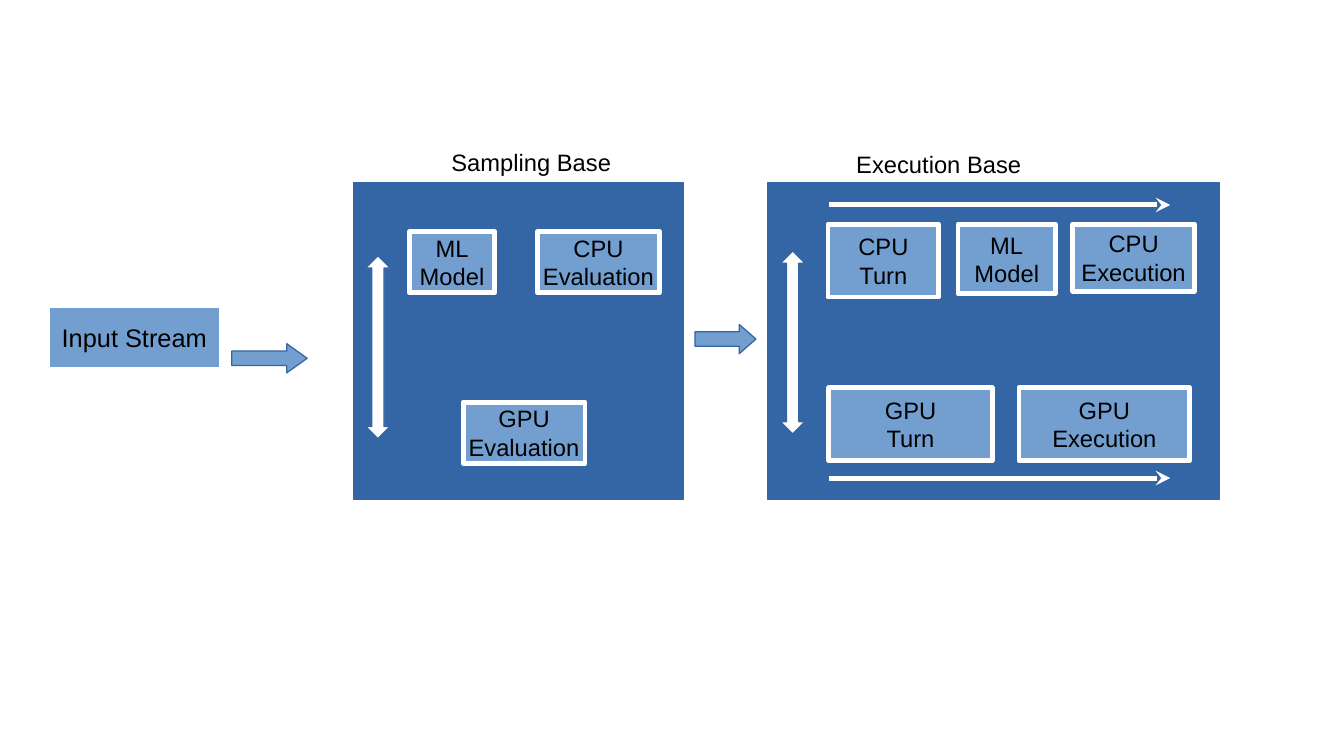
import dataclasses

import pptx
import pptx.dml.color
import pptx.enum.shapes
import pptx.enum.text
import pptx.oxml
import pptx.oxml.ns
import pptx.shapes.autoshape
import pptx.shapes.shapetree
import pptx.text.text
import pptx.util

Cm = pptx.util.Cm
Kind = pptx.enum.shapes.MSO_SHAPE
Tree = pptx.shapes.shapetree.SlideShapes


@dataclasses.dataclass(frozen=True)
class Theme:
    font: str = "Arial"
    dark: str = "3465A4"
    light: str = "729FCF"
    white: str = "FFFFFF"
    ink: str = "000000"
    body: float = 14
    large: float = 15
    thick: float = 2.89


@dataclasses.dataclass(frozen=True)
class Rect:
    left: float
    top: float
    width: float
    height: float

    def place(self) -> tuple[int, int, int, int]:
        return Cm(self.left), Cm(self.top), Cm(self.width), Cm(self.height)


@dataclasses.dataclass(frozen=True)
class Box:
    text: str
    area: Rect


@dataclasses.dataclass(frozen=True)
class Arrow:
    kind: Kind
    area: Rect
    fill: str
    shaft: float
    head: float


THEME = Theme()

PANELS = [Rect(7.37, 3.81, 6.86, 6.6), Rect(16, 3.81, 9.4, 6.6)]
INPUT = Box("Input Stream", Rect(1.02, 6.4, 3.56, 1.27))
LABELS = [
    Box("Sampling Base", Rect(8.53, 2.95, 5.08, 0.81)),
    Box("Execution Base", Rect(17.02, 3, 5.08, 0.81)),
]
STEPS = [
    Box("ML\nModel", Rect(8.53, 4.83, 1.78, 1.27)),
    Box("CPU\nEvaluation", Rect(11.2, 4.83, 2.54, 1.27)),
    Box("GPU\nEvaluation", Rect(9.65, 8.38, 2.54, 1.27)),
    Box("CPU\nTurn", Rect(17.25, 4.67, 2.31, 1.52)),
    Box("ML\nModel", Rect(19.96, 4.67, 2.03, 1.45)),
    Box("CPU\nExecution", Rect(22.35, 4.67, 2.54, 1.4)),
    Box("GPU\nTurn", Rect(17.27, 8.08, 3.4, 1.52)),
    Box("GPU\nExecution", Rect(21.23, 8.08, 3.56, 1.52)),
]
ARROWS = [
    Arrow(Kind.RIGHT_ARROW, Rect(4.83, 7.16, 1.57, 0.61), THEME.light, 0.49, 0.7),
    Arrow(Kind.RIGHT_ARROW, Rect(14.48, 6.76, 1.27, 0.61), THEME.light, 0.49, 0.57),
    Arrow(Kind.UP_DOWN_ARROW, Rect(7.62, 5.33, 0.51, 3.81), THEME.white, 0.5, 1.49),
    Arrow(Kind.UP_DOWN_ARROW, Rect(16.26, 5.23, 0.51, 3.81), THEME.white, 0.5, 1.49),
]
FLOW_LEFT, FLOW_RIGHT = 17.27, 24.38
FLOW_TOPS = [4.27, 9.96]


def paint(code: str) -> pptx.dml.color.RGBColor:
    return pptx.dml.color.RGBColor.from_string(code)


def add_block(tree: Tree, kind: Kind, area: Rect, fill: str, edge: str,
              width: float = 0) -> pptx.shapes.autoshape.Shape:
    shape = tree.add_shape(kind, *area.place())
    shape.shadow.inherit = False
    shape.fill.solid()
    shape.fill.fore_color.rgb = paint(fill)
    shape.line.color.rgb = paint(edge)
    shape.line.width = pptx.util.Pt(width)
    return shape


def write(frame: pptx.text.text.TextFrame, text: str, size: float, wrap: bool,
          side: float = 0.25, edge: float = 0.13) -> None:
    frame.word_wrap = wrap
    frame.margin_left = frame.margin_right = Cm(side)
    frame.margin_top = frame.margin_bottom = Cm(edge)
    frame.text = text
    for line in frame.paragraphs:
        line.alignment = pptx.enum.text.PP_ALIGN.CENTER
        line.font.name = THEME.font
        line.font.size = pptx.util.Pt(size)
        line.font.color.rgb = paint(THEME.ink)


def add_input(tree: Tree, box: Box) -> None:
    shape = add_block(tree, Kind.RECTANGLE, box.area, THEME.light, THEME.white)
    shape.text_frame.vertical_anchor = pptx.enum.text.MSO_ANCHOR.MIDDLE
    write(shape.text_frame, box.text, THEME.large, False)


def add_step(tree: Tree, box: Box) -> None:
    shape = add_block(tree, Kind.RECTANGLE, box.area, THEME.light, THEME.white,
                      THEME.thick)
    shape.text_frame.vertical_anchor = pptx.enum.text.MSO_ANCHOR.MIDDLE
    write(shape.text_frame, box.text, THEME.body, False, 0.3, 0.18)


def add_label(tree: Tree, box: Box) -> None:
    label = tree.add_textbox(*box.area.place())
    write(label.text_frame, box.text, THEME.body, True)


def add_arrow(tree: Tree, arrow: Arrow) -> None:
    shape = add_block(tree, arrow.kind, arrow.area, arrow.fill, THEME.dark)
    # The double arrow takes its head length first
    double = arrow.kind == Kind.UP_DOWN_ARROW
    shape.adjustments[int(double)] = arrow.shaft
    shape.adjustments[int(not double)] = arrow.head


def add_flow(tree: Tree, top: float) -> None:
    line = tree.add_connector(pptx.enum.shapes.MSO_CONNECTOR.STRAIGHT,
                              Cm(FLOW_LEFT), Cm(top), Cm(FLOW_RIGHT), Cm(top))
    line.line.color.rgb = paint(THEME.white)
    line.line.width = pptx.util.Pt(THEME.thick)
    space = pptx.oxml.ns.nsdecls("a")
    tip = pptx.oxml.parse_xml(f'<a:tailEnd {space} type="stealth"/>')
    line.line._get_or_add_ln().append(tip)
    line._element.spPr.append(pptx.oxml.parse_xml(f"<a:effectLst {space}/>"))


def main() -> None:
    deck = pptx.Presentation()
    deck.slide_width, deck.slide_height = Cm(28), Cm(15.75)
    blank = deck.slide_layouts[6]
    tree = deck.slides.add_slide(blank).shapes

    # Panels with their headings
    for area in PANELS:
        add_block(tree, Kind.RECTANGLE, area, THEME.dark, THEME.dark)
    for label in LABELS:
        add_label(tree, label)

    # Input and the steps inside the panels
    add_input(tree, INPUT)
    for step in STEPS:
        add_step(tree, step)

    # Block arrows and thin flow lines
    for arrow in ARROWS:
        add_arrow(tree, arrow)
    for top in FLOW_TOPS:
        add_flow(tree, top)

    deck.save("out.pptx")


if __name__ == "__main__":
    main()
